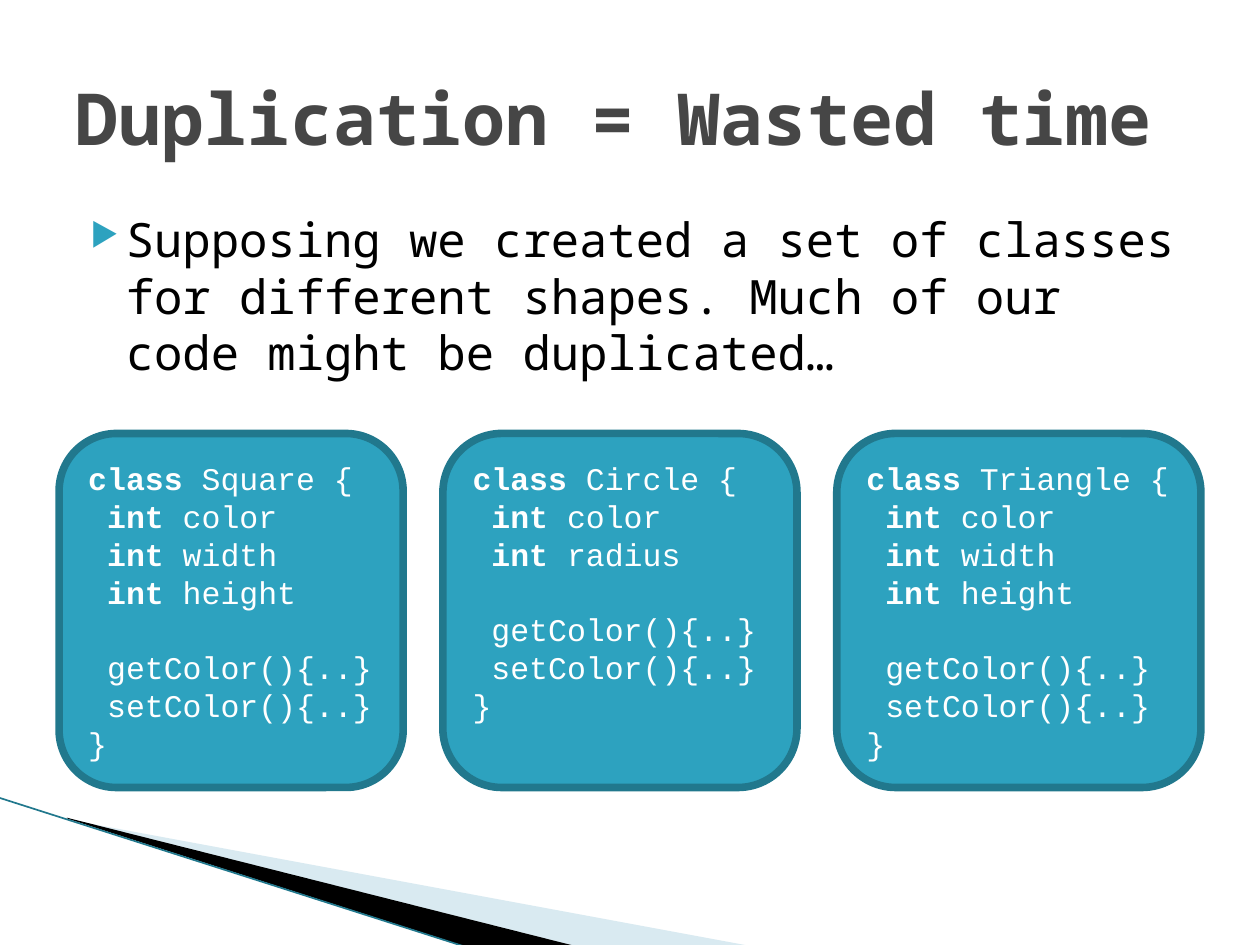
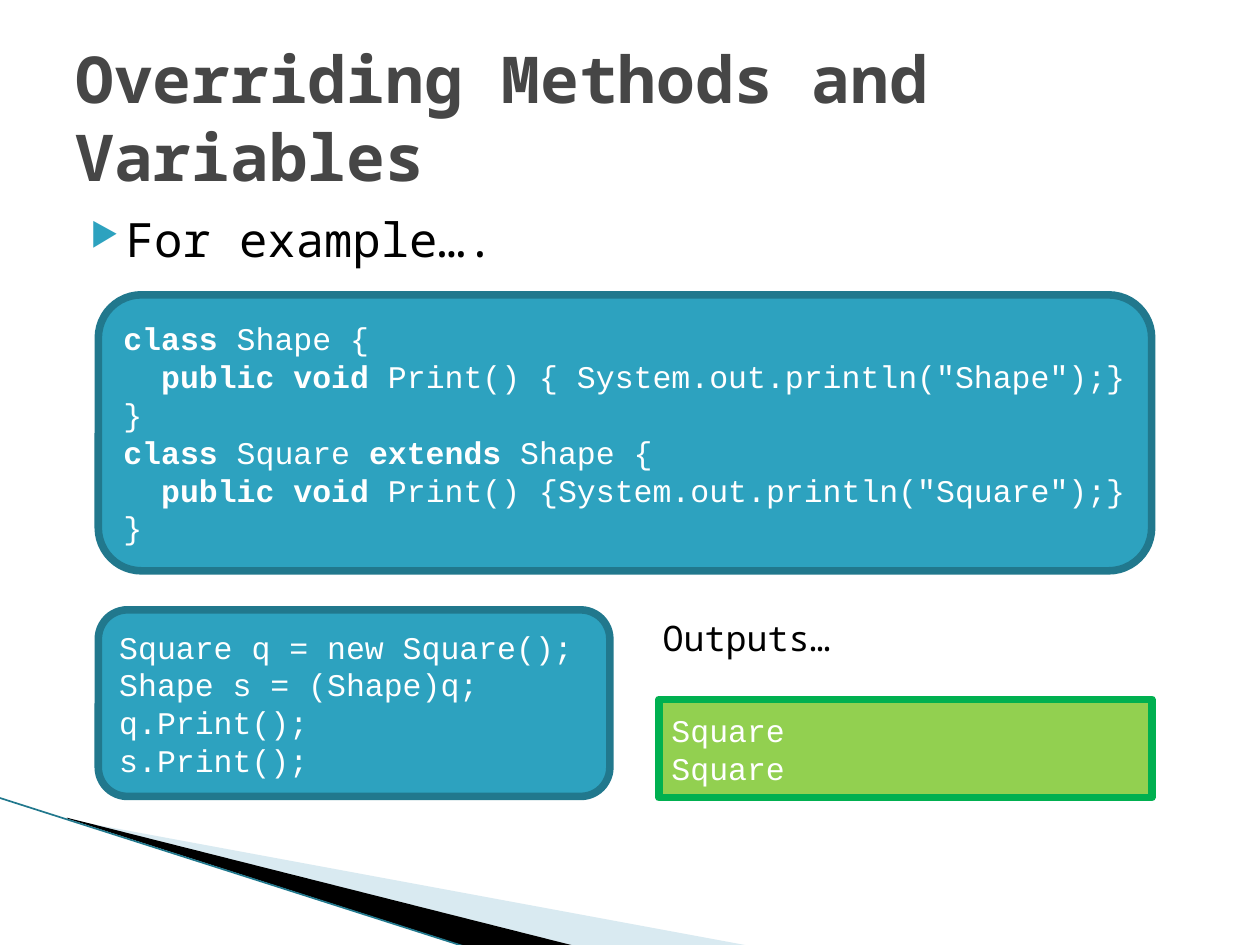
from lxml import etree
from pptx import Presentation
from pptx.dml.color import RGBColor
from pptx.enum import shapes, text
from pptx.oxml import ns
from pptx.util import Pt

COLORS = {
    "title": "464646", "body": "000000", "code": "FFFFFF",
    "teal": "2DA2BF", "edge": "21788D", "pale": "A0CBDC", "dark": "000000",
    "lime": "92D050", "green": "00B050",
}
SANS, MONO = "Noto Sans Mono", "Courier New"
LEAD = 1.2      # line height as a share of the type size
SIZE = 18       # type size of code
ADVANCE = 0.6   # width of one code character as a share of its size

CLASSES = [
    ["*class* Square {", " *int* color", " *int* width", " *int* height", "",
     " getColor(){..}", " setColor(){..}", "}"],
    ["*class* Circle {", " *int* color", " *int* radius", "",
     " getColor(){..}", " setColor(){..}", "}"],
    ["*class* Triangle {", " *int* color", " *int* width", " *int* height", "",
     " getColor(){..}", " setColor(){..}", "}"],
]
SHAPE_CODE = [
    "*class* Shape {",
    '  *public void *Print() { System.out.println("Shape");}',
    "}",
    "*class* Square *extends* Shape {",
    '  *public void *Print() {System.out.println("Square");}',
    "}",
]
CALLS = ["Square q = new Square();", "Shape s = (Shape)q;", "q.Print();", "s.Print();"]


def rgb(name):
    """Look up a named colour."""
    return RGBColor.from_string(COLORS[name])


def add(parent, tag, **attrs):
    """Append a drawing element to an XML parent."""
    return etree.SubElement(parent, ns.qn(tag), attrs)


def write(frame, lines, font=SANS, size=SIZE, color="body", bold=False,
          anchor=text.MSO_ANCHOR.TOP, wrap=True):
    """Write lines: *stars* mark bold, leading spaces indent, "" leaves a gap."""
    frame.word_wrap = wrap
    frame.vertical_anchor = anchor
    gap, first = 0, True
    for line in lines:
        if not line:
            gap = size * LEAD
            continue
        para = frame.paragraphs[0] if first else frame.add_paragraph()
        first = False
        para.alignment = text.PP_ALIGN.LEFT
        para.line_spacing = Pt(size * LEAD)
        para.space_before = Pt(gap)
        gap = 0
        words = line.lstrip()
        depth = len(line) - len(words)
        if depth:
            para._p.get_or_add_pPr().set("marL", str(Pt(depth * size * ADVANCE)))
        for i, part in enumerate(words.split("*")):
            if part:
                run = para.add_run()
                run.text = part
                run.font.name, run.font.size = font, Pt(size)
                run.font.bold = bold or i % 2 == 1
                run.font.color.rgb = rgb(color)


def label(slide, words, left, top, width, height, **style):
    """Add a text box and return its frame."""
    box = slide.shapes.add_textbox(Pt(left), Pt(top), Pt(width), Pt(height))
    write(box.text_frame, [words], **style)
    return box.text_frame


def bullet(slide, words):
    """Add the body text with its triangle bullet."""
    frame = label(slide, words, 36, 116.6, 648, 356.4, size=27)
    para = frame.paragraphs[0]
    para.space_before = Pt(4)
    props = para._p.get_or_add_pPr()
    props.set("marL", str(Pt(28.8)))
    props.set("indent", str(Pt(-20.2)))
    add(add(props, "a:buClr"), "a:srgbClr", val=COLORS["teal"])
    add(props, "a:buSzPct", val="68000")
    add(props, "a:buChar", char="\u25b6")


def panel(slide, lines, left, top, width, height, adj=None, pad=0,
          fill="teal", edge="edge", kind=shapes.MSO_SHAPE.ROUNDED_RECTANGLE):
    """Add a filled box of code; pad keeps room free below the code."""
    box = slide.shapes.add_shape(kind, Pt(left), Pt(top), Pt(width), Pt(height))
    box.shadow.inherit = False
    if adj is not None:
        box.adjustments[0] = adj
    box.fill.solid()
    box.fill.fore_color.rgb = rgb(fill)
    box.line.color.rgb = rgb(edge)
    box.line.width = Pt(4.33)
    frame = box.text_frame
    frame.margin_right = 0
    frame.margin_bottom = Pt(3.6 + pad)
    write(frame, lines, font=MONO, color="code", anchor=text.MSO_ANCHOR.MIDDLE)


def wedge(slide, points, fill, alpha=None):
    """Add a filled polygon without outline."""
    points = [(Pt(x), Pt(y)) for x, y in points]
    pen = slide.shapes.build_freeform(*points[0], scale=1.0)
    pen.add_line_segments(points[1:], close=True)
    form = pen.convert_to_shape()
    form.shadow.inherit = False
    form.line.fill.background()
    form.fill.solid()
    form.fill.fore_color.rgb = rgb(fill)
    if alpha:
        tint = form._element.spPr.find(".//" + ns.qn("a:srgbClr"))
        add(tint, "a:alpha", val=str(alpha * 1000))


def base(deck, title, size):
    """Add a slide with the corner wedges and its title."""
    slide = deck.slides.add_slide(deck.slide_layouts[6])
    wedge(slide, [(39.6, 468.5), (428.4, 540.5), (328.3, 540.5), (39.6, 468)], "pale", 40)
    wedge(slide, [(38.2, 467.3), (329, 540.7), (267.8, 541.4), (38.9, 468)], "dark")
    rule = slide.shapes.add_connector(
        shapes.MSO_CONNECTOR.STRAIGHT, Pt(-0.7), Pt(455.8), Pt(267.1), Pt(541.4))
    rule.line.color.rgb = rgb("edge")
    rule.line.width = Pt(0.95)
    add(rule._element.spPr, "a:effectLst")
    label(slide, title, 36, 21.6, 648, 90, size=size, color="title", bold=True,
          anchor=text.MSO_ANCHOR.MIDDLE)
    return slide


def copies(deck):
    """Build the slide on duplicated classes."""
    slide = base(deck, "Duplication = Wasted time", 41)
    bullet(slide, "Supposing we created a set of classes for different shapes. "
                  "Much of our code might be duplicated\u2026")
    most = max(map(len, CLASSES))
    left, width, gap = 33.8, 196.6, 22.7
    for lines in CLASSES:
        pad = (most - len(lines)) * SIZE * LEAD
        panel(slide, lines, left, 247.7, width, 202.3, pad=pad)
        left += width + gap
        width += 5.75


def example(deck):
    """Build the slide on overriding."""
    slide = base(deck, "Overriding Methods and Variables", 36.9)
    bullet(slide, "For example\u2026.")
    panel(slide, SHAPE_CODE, 56.2, 168.5, 601.9, 157.7, adj=0.156)
    panel(slide, CALLS, 56.2, 348.5, 292.3, 106.6, adj=0.156)
    panel(slide, ["Square"] * 2, 376.6, 399.6, 281.5, 56.2, adj=0, fill="lime", edge="green")
    label(slide, "Outputs\u2026", 371.5, 348.5, 113.8, 31.7, size=20, wrap=False)


def main():
    """Build and save the deck."""
    deck = Presentation()
    deck.slide_width, deck.slide_height = Pt(720), Pt(540)
    copies(deck)
    example(deck)
    deck.save("out.pptx")


main()
